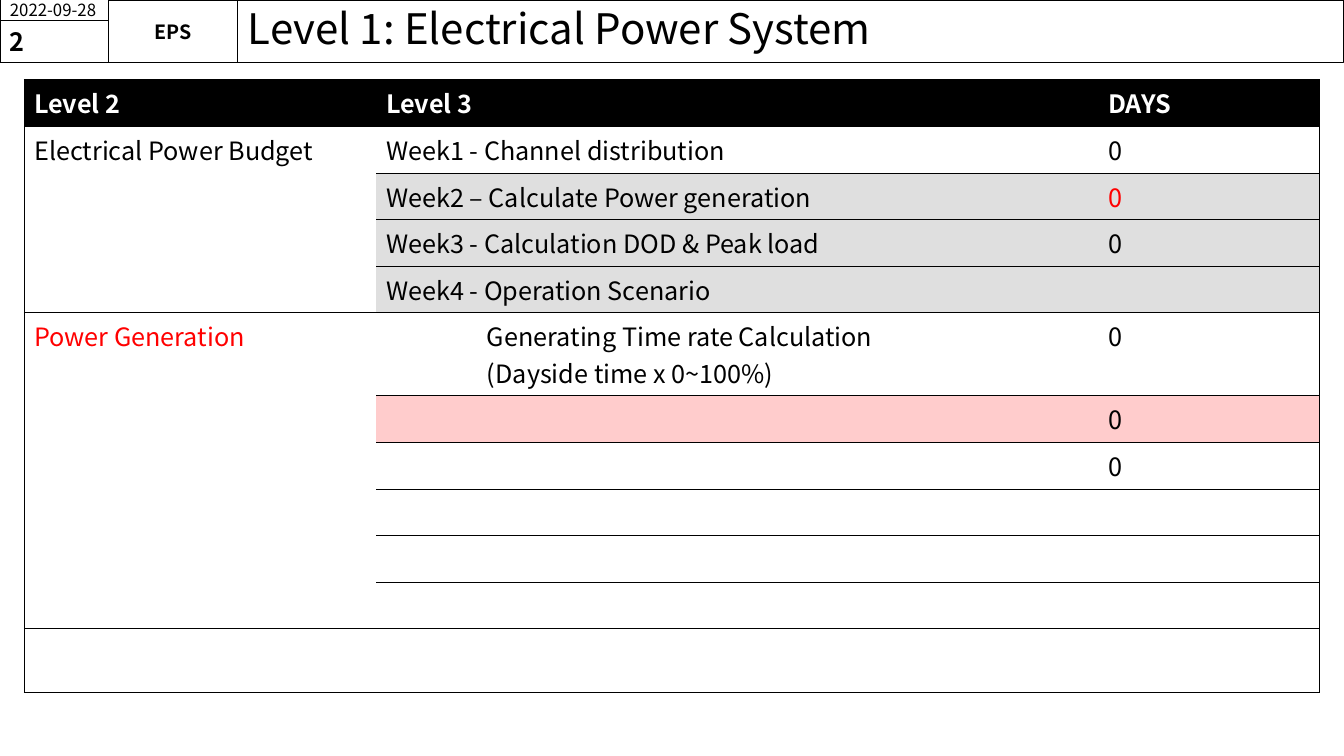
from lxml.etree import SubElement
from pptx import Presentation
from pptx.dml.color import RGBColor
from pptx.enum.shapes import MSO_SHAPE
from pptx.enum.text import MSO_ANCHOR, PP_ALIGN
from pptx.oxml.ns import qn
from pptx.util import Inches, Pt

FONT = "Noto Sans CJK KR"
BLACK = RGBColor(0x00, 0x00, 0x00)
WHITE = RGBColor(0xFF, 0xFF, 0xFF)
RED = RGBColor(0xFF, 0x00, 0x00)
GREY = RGBColor(0xDF, 0xDF, 0xDF)
PINK = RGBColor(0xFF, 0xCC, 0xCC)


def write(frame, text, size=18, color=BLACK, bold=False, align=PP_ALIGN.LEFT, indent=0, spacing=None):
    """Fill a text frame, one paragraph per line; an empty line keeps its font."""
    for index, line in enumerate(text.split("\n")):
        para = frame.paragraphs[0] if index == 0 else frame.add_paragraph()
        para.alignment = align
        if spacing:
            para.line_spacing = spacing
        if indent:
            properties = para._p.get_or_add_pPr()
            properties.set("marL", str(Inches(indent)))
            properties.set("indent", "0")
        if line:
            span = para.add_run()
            span.text = line
            span.font.size, span.font.bold, span.font.name = Pt(size), bold, FONT
            span.font.color.rgb = color
            SubElement(span._r.get_or_add_rPr(), qn("a:ea"), typeface=FONT)
        else:
            ending = SubElement(para._p, qn("a:endParaRPr"), sz=str(size * 100))
            for script in ("a:latin", "a:ea"):
                SubElement(ending, qn(script), typeface=FONT)


def set_borders(cell, visible):
    """Draw thin black lines on the named sides (L, R, T, B) and clear the others."""
    properties = cell._tc.get_or_add_tcPr()
    for side in "LRTB":
        line = SubElement(properties, qn("a:ln" + side), w=str(Pt(0.5)))
        if side in visible:
            fill = SubElement(line, qn("a:solidFill"))
            SubElement(fill, qn("a:srgbClr"), val=str(BLACK))
        else:
            SubElement(line, qn("a:noFill"))


deck = Presentation()
deck.slide_width, deck.slide_height = Inches(13.33), Inches(7.5)
page = deck.slides.add_slide(deck.slide_layouts[6])

# Header band: date over page number, subsystem, title
x_edges = [0, 1.08, 2.36, 13.33]
y_edges = [0, 0.2, 0.62]
header_boxes = [
    # first column, first row, last row, text, format
    (2, 0, 2, "Level 1: Electrical Power System", dict(size=30, spacing=0.9)),
    (0, 0, 1, "2022-09-28", dict(size=12)),
    (1, 0, 2, "EPS", dict(size=14, bold=True, align=PP_ALIGN.CENTER)),
    (0, 1, 2, "2", dict(bold=True)),
]
for column, first, last, text, style in header_boxes:
    left, right = x_edges[column:column + 2]
    top, bottom = y_edges[first], y_edges[last]
    box = page.shapes.add_shape(MSO_SHAPE.RECTANGLE, Inches(left), Inches(top),
                                Inches(right - left), Inches(bottom - top))
    box.shadow.inherit = False
    box.fill.background()
    box.line.color.rgb, box.line.width = BLACK, Pt(0.75)
    frame = box.text_frame
    frame.word_wrap = True
    frame.vertical_anchor = MSO_ANCHOR.MIDDLE
    if text == "EPS":
        frame.margin_left = frame.margin_right = frame.margin_top = frame.margin_bottom = 0
    write(frame, text, **style)

# Work breakdown table: Level 2, Level 3, days, row fill, row height
work_rows = [
    ("Level 2", "Level 3", "DAYS", BLACK, 0.41),
    ("Electrical Power Budget", "Week1 - Channel distribution", "0", None, 0.41),
    ("", "Week2 – Calculate Power generation", "0", GREY, 0.41),
    ("", "Week3 - Calculation DOD & Peak load", "0", GREY, 0.46),
    ("", "Week4 - Operation Scenario", "", GREY, 0.46),
    ("Power Generation", "Generating Time rate Calculation\n(Dayside time x 0~100%)", "0", None, 0.41),
    ("", "", "0", PINK, 0.41),
    ("", "", "0", None, 0.41),
    ("", "", "", None, 0.41),
    ("", "", "", None, 0.31),
    ("", "", "", None, 0.31),
    ("", "", "", None, 0.63),
]
merged_spans = [(1, 4), (5, 10)]
red_cells = {(2, 2), (5, 0)}
indented_cell = (5, 1)

table_frame = page.shapes.add_table(len(work_rows), 3, Inches(0.24), Inches(0.79),
                                    Inches(12.85), Inches(5.48))
table = table_frame.table
table.horz_banding = table.first_row = False
for column, width in zip(table.columns, (3.49, 7.16, 2.2)):
    column.width = Inches(width)
for first, last in merged_spans:
    table.cell(first, 0).merge(table.cell(last, 0))

for row, (*texts, row_fill, height) in enumerate(work_rows):
    table.rows[row].height = Inches(height)
    for column, text in enumerate(texts):
        cell = table.cell(row, column)
        sides = ("L", "", "R")[column] + ("" if cell.is_spanned else "TB")
        set_borders(cell, sides)
        if row_fill is None or (column == 0 and row > 0):
            cell.fill.background()
        else:
            cell.fill.solid()
            cell.fill.fore_color.rgb = row_fill
        color = WHITE if row == 0 else RED if (row, column) in red_cells else BLACK
        write(cell.text_frame, text, color=color, bold=row == 0,
              indent=1 if (row, column) == indented_cell else 0)
table_frame.height = Inches(5.48)

deck.save("out.pptx")
